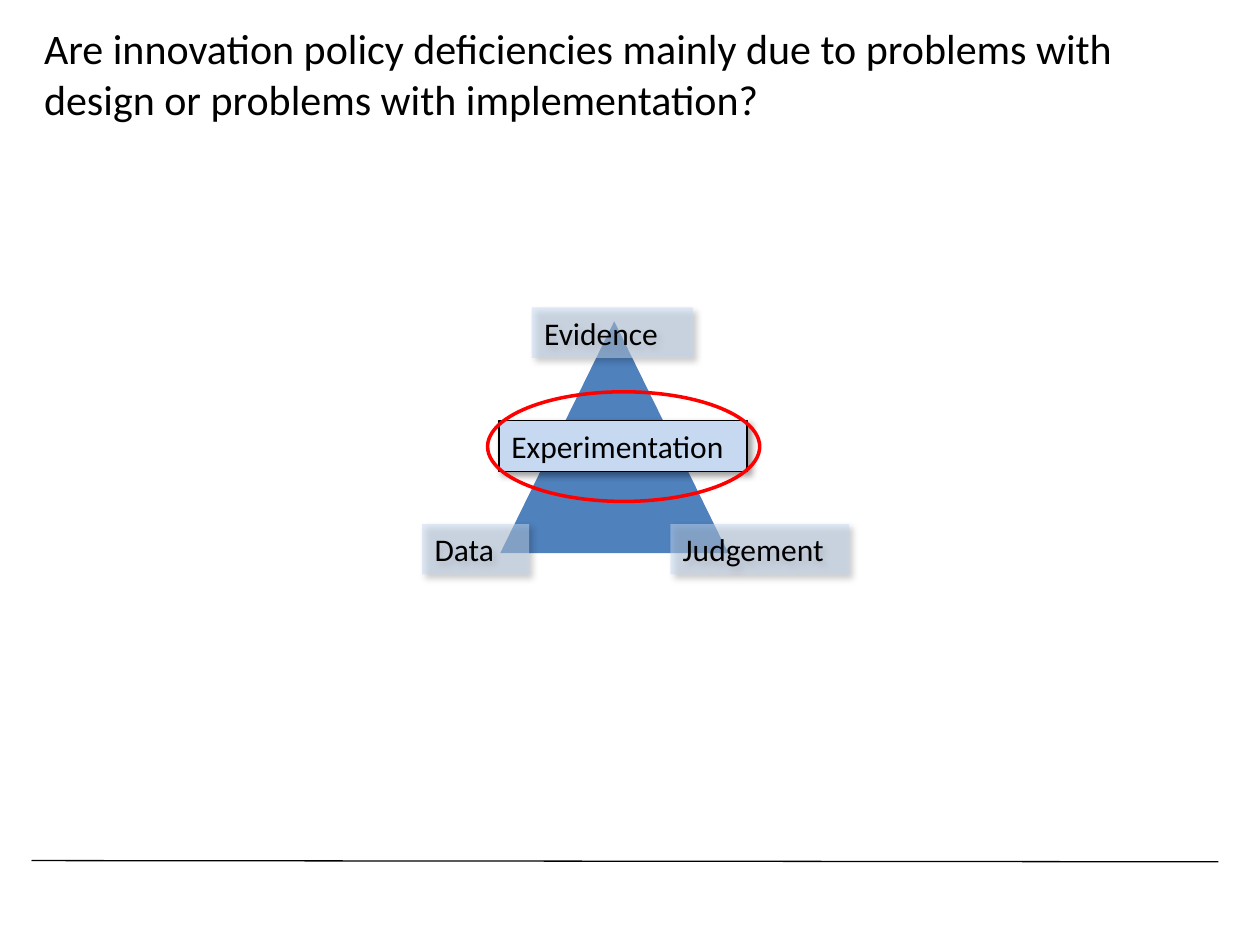
from lxml.etree import SubElement
from pptx import Presentation
from pptx.dml.color import RGBColor
from pptx.enum.shapes import MSO_CONNECTOR, MSO_SHAPE
from pptx.enum.text import MSO_ANCHOR, PP_ALIGN
from pptx.oxml.ns import qn
from pptx.util import Inches, Pt

# Content
TITLE = ("Are innovation policy deficiencies mainly due to problems with "
         "design or problems with implementation?")
LABEL_HEIGHT = 0.4
# text, left, top, width, is the central label
LABELS = [
    ("Experimentation", 3.96, 3.34, 1.97, True),
    ("Evidence", 4.22, 2.44, 1.28, False),
    ("Data", 3.35, 4.16, 0.85, False),
    ("Judgement", 5.32, 4.16, 1.42, False),
]
TRIANGLE = (3.97, 2.55, 1.81, 1.84)
HIGHLIGHT = (3.87, 3.11, 2.16, 0.87)
LEFT, CONTENT_WIDTH = 0.25, 9.42
BLACK, BLUE, PALE_BLUE, RED = "000000", "4F81BD", "C6D9F1", "FF0000"


def color(hex_string):
    return RGBColor.from_string(hex_string)


def set_alpha(color_element, percent):
    SubElement(color_element, qn("a:alpha"), val=str(percent * 1000))


def set_line(shape, hex_string, width):
    shape.line.color.rgb = color(hex_string)
    shape.line.width = Pt(width)


def add_shape(kind, box, fill=None):
    shape = slide.shapes.add_shape(kind, *map(Inches, box))
    shape.shadow.inherit = False
    shape.line.fill.background()
    if fill:
        shape.fill.solid()
        shape.fill.fore_color.rgb = color(fill)
    else:
        shape.fill.background()
    return shape


def add_shadow(shape):
    effects = shape._element.spPr.find(qn("a:effectLst"))
    shadow = SubElement(effects, qn("a:outerShdw"), blurRad=str(Pt(4)),
                        dist=str(Pt(3)), dir=str(45 * 60000), algn="tl",
                        rotWithShape="0")
    set_alpha(SubElement(shadow, qn("a:srgbClr"), val=BLACK), 40)


def write(shape, text, size):
    frame = shape.text_frame
    frame.text = text
    frame.word_wrap = True
    frame.vertical_anchor = MSO_ANCHOR.TOP
    paragraph = frame.paragraphs[0]
    paragraph.alignment = PP_ALIGN.LEFT
    font = paragraph.runs[0].font
    font.name, font.size = "Calibri", Pt(size)
    font.color.rgb = color(BLACK)


presentation = Presentation()
presentation.slide_width, presentation.slide_height = Inches(10), Inches(7.5)
slide = presentation.slides.add_slide(presentation.slide_layouts[5])

# Title
title = slide.shapes.title
title.left, title.top = Inches(LEFT), Inches(0.13)
title.width, title.height = Inches(CONTENT_WIDTH), Inches(0.91)
write(title, TITLE, 24)

# Footer rule
rule = slide.shapes.add_connector(
    MSO_CONNECTOR.STRAIGHT, Inches(LEFT), Inches(6.83),
    Inches(LEFT + CONTENT_WIDTH), Inches(6.84))
set_line(rule, BLACK, 0.75)
SubElement(rule._element.spPr, qn("a:effectLst"))

# Triangle with its labels
add_shape(MSO_SHAPE.ISOSCELES_TRIANGLE, TRIANGLE, BLUE)
for text, left, top, width, central in LABELS:
    label = add_shape(MSO_SHAPE.RECTANGLE,
                      (left, top, width, LABEL_HEIGHT), PALE_BLUE)
    if central:
        set_line(label, BLACK, 0.75)
    else:
        fill = label._element.spPr.find(qn("a:solidFill"))
        set_alpha(fill.find(qn("a:srgbClr")), 50)
    add_shadow(label)
    write(label, text, 18)

# Highlight around the central label
set_line(add_shape(MSO_SHAPE.OVAL, HIGHLIGHT), RED, 2)

presentation.save("out.pptx")
